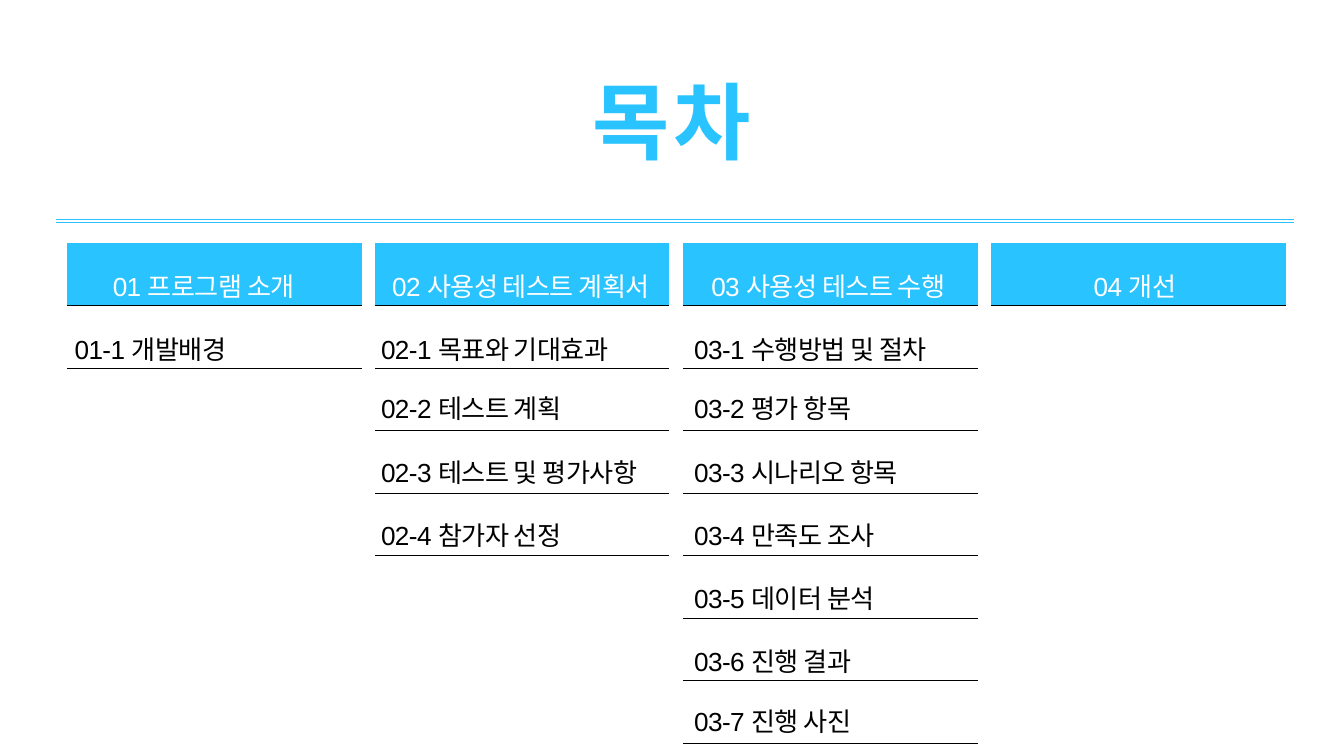
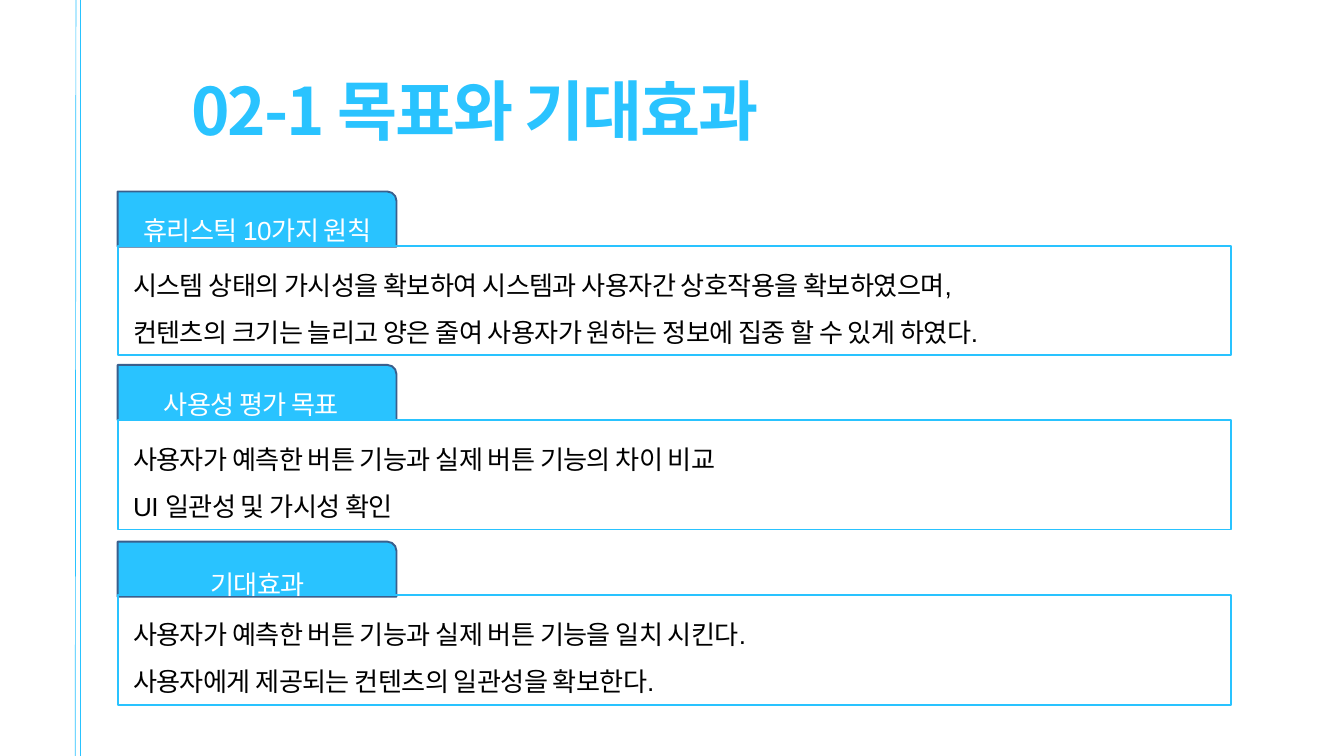
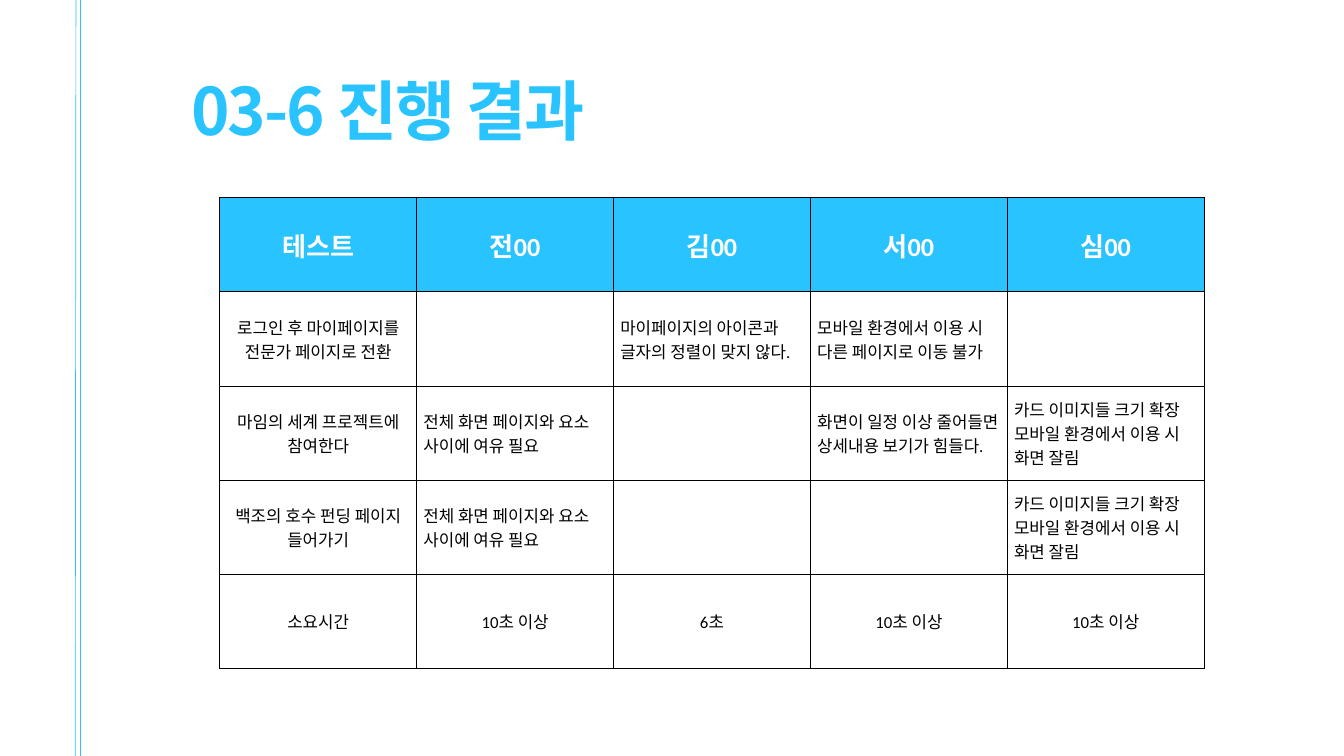
from dataclasses import dataclass

from lxml import etree
from pptx import Presentation, util as u
from pptx.dml.color import RGBColor
from pptx.enum import shapes, text
from pptx.oxml.ns import qn

PX = 9144  # EMU per px, 100 px to the inch
SLIDE_WIDTH, SLIDE_HEIGHT = 2000, 1125

SKY = RGBColor(0x29, 0xC3, 0xFF)
NAVY = RGBColor(0x3A, 0x5F, 0x8C)
BLACK = RGBColor(0, 0, 0)
WHITE = RGBColor(255, 255, 255)

TITLE_FONT = "Noto Sans CJK KR"
BODY_FONT = "Arial"
TABLE_FONT = "Calibri"
LEFT, CENTER = text.PP_ALIGN.LEFT, text.PP_ALIGN.CENTER


@dataclass(frozen=True)
class Box:
    left: int
    top: int
    width: int
    height: int

    def emu(self) -> list[int]:
        return [n * PX for n in (self.left, self.top, self.width, self.height)]


@dataclass(frozen=True)
class Style:
    size: int
    color: RGBColor
    font: str = BODY_FONT
    bold: bool = False
    align: text.PP_ALIGN = LEFT
    tracking: int = 0  # hundredths of a point
    line_spacing: float | u.Pt | None = None


CONTENTS_TITLE = Style(90, SKY, TITLE_FONT, True, CENTER, 380, u.Pt(126))
PAGE_TITLE = Style(70, SKY, TITLE_FONT, True, LEFT, -220, u.Pt(126))
HEADING = Style(28, WHITE, align=CENTER, tracking=-60, line_spacing=u.Pt(68.4))
ENTRY = Style(28, BLACK, tracking=-60, line_spacing=u.Pt(68.4))
BODY = Style(28, BLACK, tracking=-60, line_spacing=1.5)
TABLE_HEAD = Style(28, WHITE, TABLE_FONT, True, CENTER)
TABLE_LABEL = Style(18, BLACK, TABLE_FONT, align=CENTER)
TABLE_NOTE = Style(18, BLACK, TABLE_FONT)


@dataclass(frozen=True)
class Chapter:
    heading: str
    heading_left: int
    heading_width: int
    entry_left: int
    entries: tuple[str, ...]


@dataclass(frozen=True)
class Panel:
    label: str
    label_left: int
    label_top: int
    tab_top: int
    body_top: int
    body: str


CHAPTERS = (
    Chapter("01 프로그램 소개", 139, 328, 111, ("01-1 개발배경",)),
    Chapter("02 사용성 테스트 계획서", 550, 450, 567, (
        "02-1 목표와 기대효과", "02-2 테스트 계획",
        "02-3 테스트 및 평가사항", "02-4 참가자 선정")),
    Chapter("03 사용성 테스트 수행", 973, 519, 1033, (
        "03-1 수행방법 및 절차", "03-2 평가 항목", "03-3 시나리오 항목",
        "03-4 만족도 조사", "03-5 데이터 분석", "03-6 진행 결과", "03-7 진행 사진")),
    Chapter("04 개선", 1525, 328, 1486, ()),
)
ENTRY_TOPS = (448, 536, 631, 725, 818, 912, 1002)

PANELS = (
    Panel("휴리스틱 10가지 원칙", 157, 271, 285, 366,
          "시스템 상태의 가시성을 확보하여 시스템과 사용자간 상호작용을 확보하였으며,\n"
          "컨텐츠의 크기는 늘리고 양은 줄여 사용자가 원하는 정보에 집중 할 수 있게 하였다."),
    Panel("사용성 평가 목표", 148, 529, 543, 625,
          "사용자가 예측한 버튼 기능과 실제 버튼 기능의 차이 비교\nUI 일관성 및 가시성 확인"),
    Panel("기대효과", 157, 797, 806, 886,
          "사용자가 예측한 버튼 기능과 실제 버튼 기능을 일치 시킨다.\n"
          "사용자에게 제공되는 컨텐츠의 일관성을 확보한다."),
)

SPACING = "전체 화면 페이지와 요소 사이에 여유 필요"
CARDS = "카드 이미지들 크기 확장\n모바일 환경에서 이용 시 화면 잘림"
RESULTS = (
    ("테스트", "전00", "김00", "서00", "심00"),
    ("로그인 후 마이페이지를 전문가 페이지로 전환", "",
     "마이페이지의 아이콘과 글자의 정렬이 맞지 않다.",
     "모바일 환경에서 이용 시 다른 페이지로 이동 불가", ""),
    ("마임의 세계 프로젝트에 참여한다", SPACING, "",
     "화면이 일정 이상 줄어들면 상세내용 보기가 힘들다.", CARDS),
    ("백조의 호수 펀딩 페이지 들어가기", SPACING, "", "", CARDS),
    ("소요시간", "10초 이상", "6초", "10초 이상", "10초 이상"),
)


# Shared drawing
def write(text_frame, content: str, style: Style) -> None:
    text_frame.text = content
    for paragraph in text_frame.paragraphs:
        paragraph.alignment = style.align
        if style.line_spacing:
            paragraph.line_spacing = style.line_spacing
        for run in paragraph.runs:
            font = run.font
            font.size, font.bold, font.name = u.Pt(style.size), style.bold, style.font
            font.color.rgb = style.color
            properties = run._r.get_or_add_rPr()
            if style.tracking:
                properties.set("spc", str(style.tracking))
            etree.SubElement(properties, qn("a:ea")).set("typeface", TITLE_FONT)


def add_text(slide, box: Box, content: str, style: Style) -> None:
    text_frame = slide.shapes.add_textbox(*box.emu()).text_frame
    text_frame.margin_left = text_frame.margin_right = 0
    text_frame.margin_top = text_frame.margin_bottom = 0
    text_frame.word_wrap = True
    text_frame.auto_size = text.MSO_AUTO_SIZE.SHAPE_TO_FIT_TEXT
    write(text_frame, content, style)


def add_rule(slide, x1: int, y1: int, x2: int, y2: int) -> None:
    line = slide.shapes.add_connector(
        shapes.MSO_CONNECTOR.STRAIGHT, x1 * PX, y1 * PX, x2 * PX, y2 * PX)
    line.line.color.rgb = SKY
    line.line.width = u.Pt(0.75)
    etree.SubElement(line._element.spPr, qn("a:effectLst"))


def add_block(slide, kind, box: Box, fill: RGBColor | None, outline: RGBColor) -> None:
    shape = slide.shapes.add_shape(kind, *box.emu())
    shape.shadow.inherit = False
    if fill is None:
        shape.fill.background()
    else:
        shape.fill.solid()
        shape.fill.fore_color.rgb = fill
    shape.line.color.rgb = outline
    shape.line.width = u.Pt(2)


def add_plain_table(slide, rows: int, columns: int, box: Box):
    table = slide.shapes.add_table(rows, columns, *box.emu()).table
    table.first_row = table.horz_banding = False
    return table


def format_cell(cell, fill: RGBColor | None, edges: str) -> None:
    """Fill a cell and draw a black border on each edge named in edges (L, R, T, B)."""
    if fill is None:
        cell.fill.background()
    else:
        cell.fill.solid()
        cell.fill.fore_color.rgb = fill
    for index, edge in enumerate("LRTB"):
        border = etree.Element(qn(f"a:ln{edge}"), w=str(u.Pt(1)))
        if edge in edges:
            paint = etree.SubElement(border, qn("a:solidFill"))
            etree.SubElement(paint, qn("a:srgbClr")).set("val", str(BLACK))
        else:
            etree.SubElement(border, qn("a:noFill"))
        cell._tc.get_or_add_tcPr().insert(index, border)


def add_page(presentation, title: str):
    """Add a slide with the double rail on the left and a title."""
    slide = presentation.slides.add_slide(presentation.slide_layouts[6])
    add_rule(slide, 112, SLIDE_HEIGHT, 113, 0)
    add_rule(slide, 119, SLIDE_HEIGHT, 119, 0)
    add_text(slide, Box(285, 46, 1277, 157), title, PAGE_TITLE)
    return slide


# Slides
def build_contents(presentation) -> None:
    slide = presentation.slides.add_slide(presentation.slide_layouts[6])
    for rule_top in (326, 331):
        add_rule(slide, 83, rule_top, 1925, rule_top)
    add_text(slide, Box(361, 79, 1277, 175), "목차", CONTENTS_TITLE)

    for index, chapter in enumerate(CHAPTERS):
        rows = len(chapter.entries) + 1
        left = 100 + round(index * 1375 / 3)
        table = add_plain_table(slide, rows, 1, Box(left, 362, 438, 93 * rows))
        for row in range(rows):
            format_cell(table.cell(row, 0), None if row else SKY, "TB" if row else "B")
        add_text(slide, Box(chapter.heading_left, 354, chapter.heading_width, 82),
                 chapter.heading, HEADING)
        for top, entry in zip(ENTRY_TOPS, chapter.entries):
            add_text(slide, Box(chapter.entry_left, top, 450, 82), entry, ENTRY)


def build_goals(presentation) -> None:
    slide = add_page(presentation, "02-1 목표와 기대효과")
    for panel in PANELS:
        add_block(slide, shapes.MSO_SHAPE.ROUND_1_RECTANGLE,
                  Box(175, panel.tab_top, 415, 82), SKY, NAVY)
        add_block(slide, shapes.MSO_SHAPE.RECTANGLE,
                  Box(175, panel.body_top, 1657, 163), None, SKY)
        add_text(slide, Box(panel.label_left, panel.label_top, 452, 82),
                 panel.label, HEADING)
        add_text(slide, Box(198, panel.body_top + 11, 1627, 134), panel.body, BODY)


def build_results(presentation) -> None:
    slide = add_page(presentation, "03-6 진행 결과")
    table = add_plain_table(slide, len(RESULTS), len(RESULTS[0]), Box(327, 294, 1465, 701))
    last_row = len(RESULTS) - 1
    for row, contents in enumerate(RESULTS):
        for column, content in enumerate(contents):
            cell = table.cell(row, column)
            cell.vertical_anchor = text.MSO_ANCHOR.MIDDLE
            format_cell(cell, WHITE if row else SKY, "LRTB")
            if row == 0:
                style = TABLE_HEAD
            elif column == 0 or row == last_row:
                style = TABLE_LABEL
            else:
                style = TABLE_NOTE
            write(cell.text_frame, content, style)


def main() -> None:
    presentation = Presentation()
    presentation.slide_width = SLIDE_WIDTH * PX
    presentation.slide_height = SLIDE_HEIGHT * PX
    build_contents(presentation)
    build_goals(presentation)
    build_results(presentation)
    presentation.save("out.pptx")


if __name__ == "__main__":
    main()
